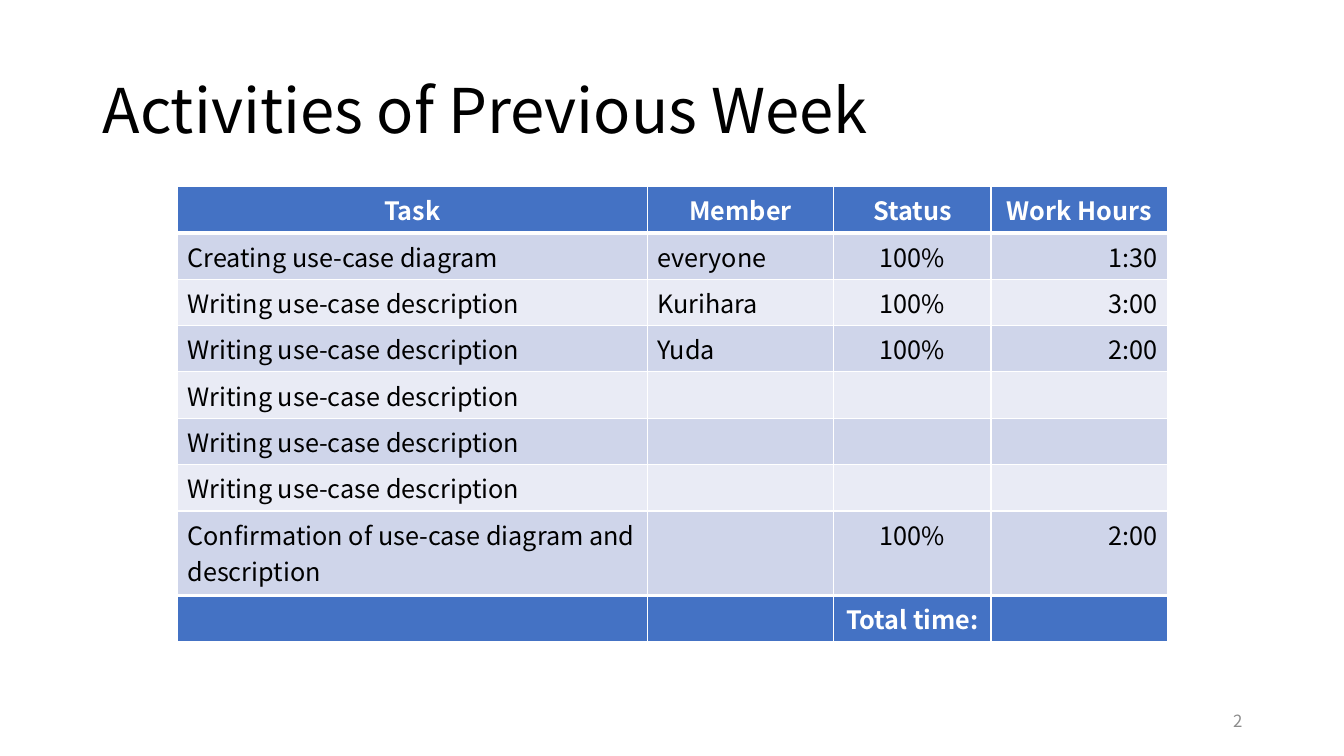
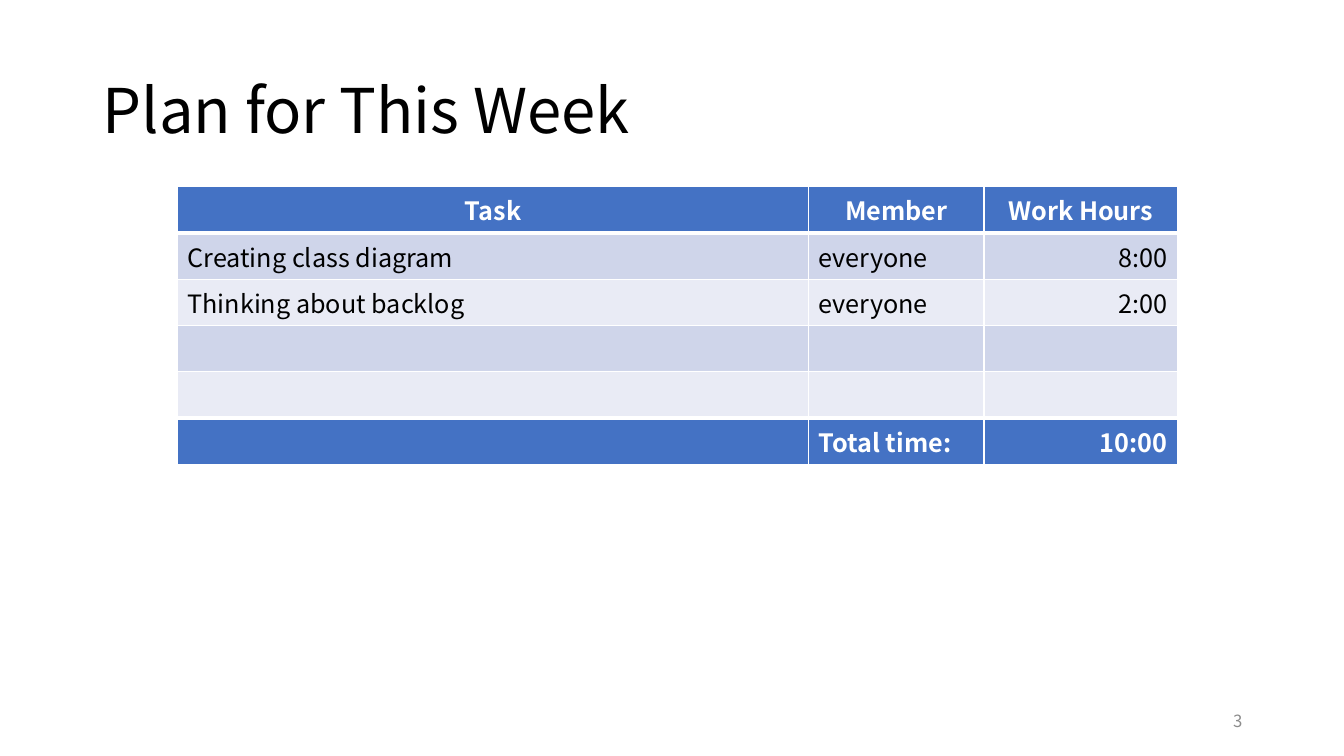
import pptx
import pptx.util
import pptx.dml.color
import pptx.enum.text
import pptx.oxml
import pptx.oxml.ns

Inches, Pt = pptx.util.Inches, pptx.util.Pt
ALIGN = pptx.enum.text.PP_ALIGN
LEFT, CENTER, RIGHT = ALIGN.LEFT, ALIGN.CENTER, ALIGN.RIGHT

# Content: the first row of each table is its header, the last its total
WRITING = "Writing use-case description"
CONFIRMATION = "Confirmation of use-case diagram and description"
REPORTS = [
    {
        "title": "Activities of Previous Week",
        "number": 2,
        "columns": [(4.66, LEFT), (1.85, LEFT), (1.56, CENTER), (1.75, RIGHT)],
        "rows": [
            ("Task", "Member", "Status", "Work Hours"),
            ("Creating use-case diagram", "everyone", "100%", "1:30"),
            (WRITING, "Kurihara", "100%", "3:00"),
            (WRITING, "Yuda", "100%", "2:00"),
            (WRITING, "", "", ""),
            (WRITING, "", "", ""),
            (WRITING, "", "", ""),
            (CONFIRMATION, "", "100%", "2:00"),
            ("", "", "Total time:", ""),
        ],
    },
    {
        "title": "Plan for This Week",
        "number": 3,
        "columns": [(6.26, LEFT), (1.74, LEFT), (1.92, RIGHT)],
        "rows": [
            ("Task", "Member", "Work Hours"),
            ("Creating class diagram", "everyone", "8:00"),
            ("Thinking about backlog", "everyone", "2:00"),
            ("", "", ""),
            ("", "", ""),
            ("", "Total time:", "10:00"),
        ],
    },
]

# Shared style
FONT = "Noto Sans CJK JP"
COLORS = {
    "text": "000000",
    "line": "FFFFFF",
    "strong_text": "FFFFFF",
    "strong": "4472C4",
    "odd_band": "CFD5EA",
    "even_band": "E9EBF5",
    "number": "8C8C8C",
}
TABLE_LEFT, TABLE_TOP = 1.76, 1.85
ROW_HEIGHT, TWO_LINE_HEIGHT = 0.46, 0.84
THIN, THICK = 1, 3


def rgb(name):
    return pptx.dml.color.RGBColor.from_string(COLORS[name])


def write(paragraph, text, size, color, align=LEFT, bold=False):
    paragraph.alignment = align
    if text:
        run = paragraph.add_run()
        run.text = text
        run.font.name = FONT
        run.font.size = Pt(size)
        run.font.bold = bold
        run.font.color.rgb = rgb(color)


def add_text(slide, box, text, size, color, align=LEFT, spacing=None):
    frame = slide.shapes.add_textbox(*map(Inches, box)).text_frame
    frame.word_wrap = True
    frame.vertical_anchor = pptx.enum.text.MSO_ANCHOR.MIDDLE
    paragraph = frame.paragraphs[0]
    paragraph.line_spacing = spacing
    write(paragraph, text, size, color, align)


def set_borders(cell, top, bottom):
    properties = cell._tc.get_or_add_tcPr()
    for side, width in (("L", THIN), ("R", THIN), ("T", top), ("B", bottom)):
        properties.append(pptx.oxml.parse_xml(
            f'<a:ln{side} {pptx.oxml.ns.nsdecls("a")} w="{Pt(width)}">'
            f'<a:solidFill><a:srgbClr val="{COLORS["line"]}"/></a:solidFill>'
            f'</a:ln{side}>'))


def add_task_table(slide, columns, rows):
    last = len(rows) - 1
    widths = [width for width, _ in columns]
    heights = [TWO_LINE_HEIGHT if row[0] == CONFIRMATION else ROW_HEIGHT for row in rows]
    table = slide.shapes.add_table(
        len(rows), len(columns), Inches(TABLE_LEFT), Inches(TABLE_TOP),
        Inches(sum(widths)), Inches(sum(heights))).table
    for column, width in zip(table.columns, widths):
        column.width = Inches(width)
    for table_row, height in zip(table.rows, heights):
        table_row.height = Inches(height)

    for r, row in enumerate(rows):
        strong = r in (0, last)
        fill = "strong" if strong else "odd_band" if r % 2 else "even_band"
        # Thick rules lie below the header and above the total
        top = THICK if r in (1, last) else THIN
        bottom = THICK if r in (0, last - 1) else THIN
        for c, (text, (_, align)) in enumerate(zip(row, columns)):
            cell = table.cell(r, c)
            set_borders(cell, top, bottom)
            cell.fill.solid()
            cell.fill.fore_color.rgb = rgb(fill)
            write(cell.text_frame.paragraphs[0], text, 18,
                  "strong_text" if strong else "text",
                  CENTER if r == 0 else align, strong)


def main():
    deck = pptx.Presentation()
    deck.slide_width, deck.slide_height = Inches(13.33), Inches(7.5)
    for report in REPORTS:
        slide = deck.slides.add_slide(deck.slide_layouts[6])
        add_text(slide, (0.92, 0.4, 11.5, 1.45), report["title"], 44, "text", spacing=0.9)
        add_task_table(slide, report["columns"], report["rows"])
        add_text(slide, (9.42, 6.95, 3, 0.4), str(report["number"]), 12, "number", RIGHT)
    deck.save("out.pptx")


if __name__ == "__main__":
    main()
